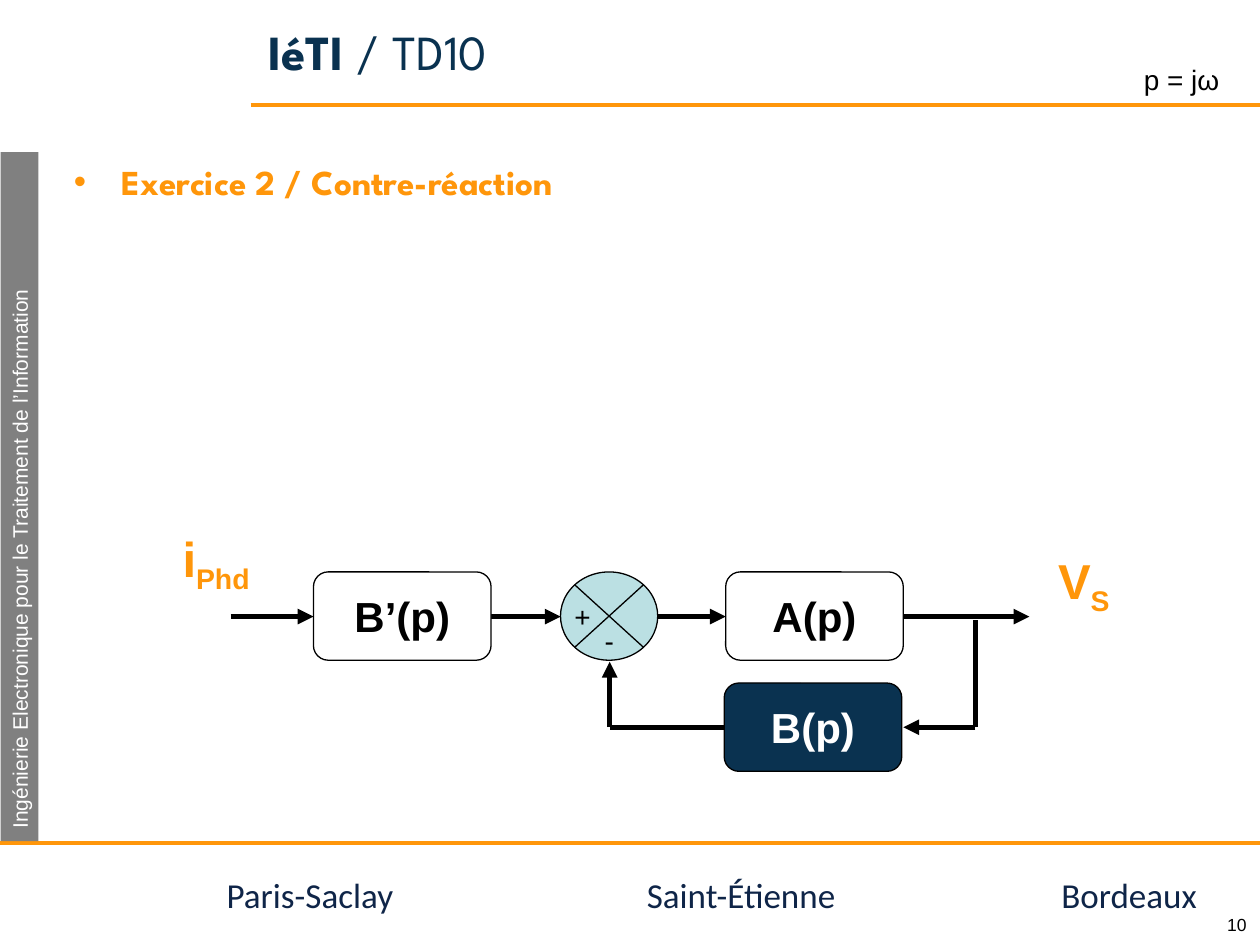
import pptx
import pptx.dml.color
import pptx.enum.shapes
import pptx.enum.text
import pptx.util
from lxml import etree

Cm, Pt = pptx.util.Cm, pptx.util.Pt
Kind = pptx.enum.shapes.MSO_SHAPE
Align = pptx.enum.text.PP_ALIGN
Anchor = pptx.enum.text.MSO_ANCHOR
NAVY, ORANGE, INK, BLACK, WHITE = "0A3250", "FF960A", "0F2548", "000000", "FFFFFF"


def paint(color, code):
    color.rgb = pptx.dml.color.RGBColor.from_string(code)


def child(node, tag, **attrs):
    return etree.SubElement(node, pptx.oxml.ns.qn(tag), attrs)


class Deck:
    font = "Arial"
    edge = 0.75

    def __init__(self):
        self.file = pptx.Presentation()
        self.file.slide_width, self.file.slide_height = Cm(25.4), Cm(19.05)
        self.slide = self.file.slides.add_slide(self.file.slide_layouts[6])

    def style(self, run, size, color, bold=False, font=None):
        run.font.name = font or self.font
        run.font.size = Pt(size)
        run.font.bold = bold
        paint(run.font.color, color)

    def text(self, box, words, size, color=BLACK, bold=False, font=None,
             align=Align.LEFT, wrap=True, anchor=Anchor.TOP):
        item = self.slide.shapes.add_textbox(*map(Cm, box))
        frame = item.text_frame
        frame.word_wrap = wrap
        frame.vertical_anchor = anchor
        para = frame.paragraphs[0]
        para.text = words
        para.alignment = align
        self.style(para.runs[0], size, color, bold, font)
        return para

    def more(self, para, words, *style):
        run = para.add_run()
        run.text = words
        self.style(run, *style)
        return run

    def signal(self, box, name, sub):
        para = self.text(box, name, 28, ORANGE, True)
        run = self.more(para, sub, 28, ORANGE, True)
        run.font._element.set("baseline", "-25000")

    def bullet(self, para, indent):
        props = para._p.get_or_add_pPr()
        props.set("marL", str(Cm(indent)))
        props.set("indent", str(-Cm(indent)))
        child(props, "a:buFont", typeface=self.font)
        child(props, "a:buChar", char="•")

    def shape(self, kind, box, fill, line=True):
        item = self.slide.shapes.add_shape(kind, *map(Cm, box))
        item.shadow.inherit = False
        item.fill.solid()
        paint(item.fill.fore_color, fill)
        if line:
            paint(item.line.color, BLACK)
            item.line.width = Pt(self.edge)
        else:
            item.line.fill.background()
        return item

    def label(self, item, words, size, color, bold=False, align=Align.CENTER):
        para = item.text_frame.paragraphs[0]
        para.text = words
        para.alignment = align
        self.style(para.runs[0], size, color, bold)

    def block(self, left, top, words, fill=WHITE, color=BLACK):
        item = self.shape(Kind.ROUNDED_RECTANGLE, (left, top, 3.58, 1.78), fill)
        self.label(item, words, 24, color, True)

    def line(self, start, end, color=BLACK, width=3, arrow=False):
        item = self.slide.shapes.add_connector(
            pptx.enum.shapes.MSO_CONNECTOR.STRAIGHT, *map(Cm, start + end))
        paint(item.line.color, color)
        item.line.width = Pt(width)
        if arrow:
            child(item.line._get_or_add_ln(), "a:tailEnd", type="triangle")
        child(item._element.spPr, "a:effectLst")


def main():
    deck = Deck()

    # Frame of the page
    deck.text((24.26, 18.31, 1.12, 0.7), "10", 10, align=Align.RIGHT)
    deck.line((5.05, 2.11), (25.4, 2.11), ORANGE, 2.25)
    deck.line((0, 16.99), (25.4, 16.99), ORANGE, 2.25)
    for left, width, city in ((4.27, 3.91, "Paris-Saclay"),
                              (12.62, 4.47, "Saint-Étienne"),
                              (21.03, 3.35, "Bordeaux")):
        deck.text((left, 17.48, width, 1.12), city, 20, INK, font="Calibri",
                  align=Align.RIGHT, wrap=False)
    title = deck.text((5.16, 0.08, 20.24, 1.9), "IéTI ", 28, NAVY, True,
                      "League Spartan", anchor=Anchor.MIDDLE)
    deck.more(title, "/ TD10", 28, NAVY, False, "League Spartan")
    head = deck.text((1.24, 3.12, 22.86, 1.19), "Exercice 2 / Contre-réaction",
                     20, ORANGE, True, "League Spartan")
    deck.bullet(head, 0.97)
    side = deck.shape(Kind.RECTANGLE, (-6.55, 9.63, 13.89, 0.76), "808080", False)
    side.rotation = 270
    deck.label(side, "Ingénierie Electronique pour le Traitement de l’Information",
               12, WHITE, align=Align.LEFT)
    deck.text((22.81, 1.14, 2.59, 0.94), "p = jω", 16)

    # Feedback loop
    top, axis, back, tap, sum_x = 11.53, 12.43, 14.66, 19.66, 12.29
    deck.shape(Kind.FLOWCHART_SUMMING_JUNCTION, (11.3, top, 1.96, 1.78), "BBE0E3")
    for start, end in ((4.65, 6.32), (9.9, 11.3), (13.26, 14.63), (18.21, 20.75)):
        deck.line((start, axis), (end, axis), arrow=True)
    deck.line((tap, 12.5), (tap, back))
    deck.line((tap, back), (18.21, back), arrow=True)
    deck.line((14.6, back), (sum_x, back))
    deck.line((sum_x, back), (sum_x, 13.34), arrow=True)
    deck.block(6.32, top, "B’(p)")
    deck.block(14.63, top, "A(p)")
    deck.block(14.6, 13.77, "B(p)", NAVY, WHITE)
    deck.text((11.33, 11.96, 0.71, 0.94), "+", 16)
    deck.text((11.94, 12.45, 0.71, 0.94), "-", 16)
    deck.signal((3.43, 10.52, 2.87, 1.45), "i", "Phd")
    deck.signal((21.08, 10.97, 2.87, 1.45), "V", "S")

    deck.file.save("out.pptx")


if __name__ == "__main__":
    main()
